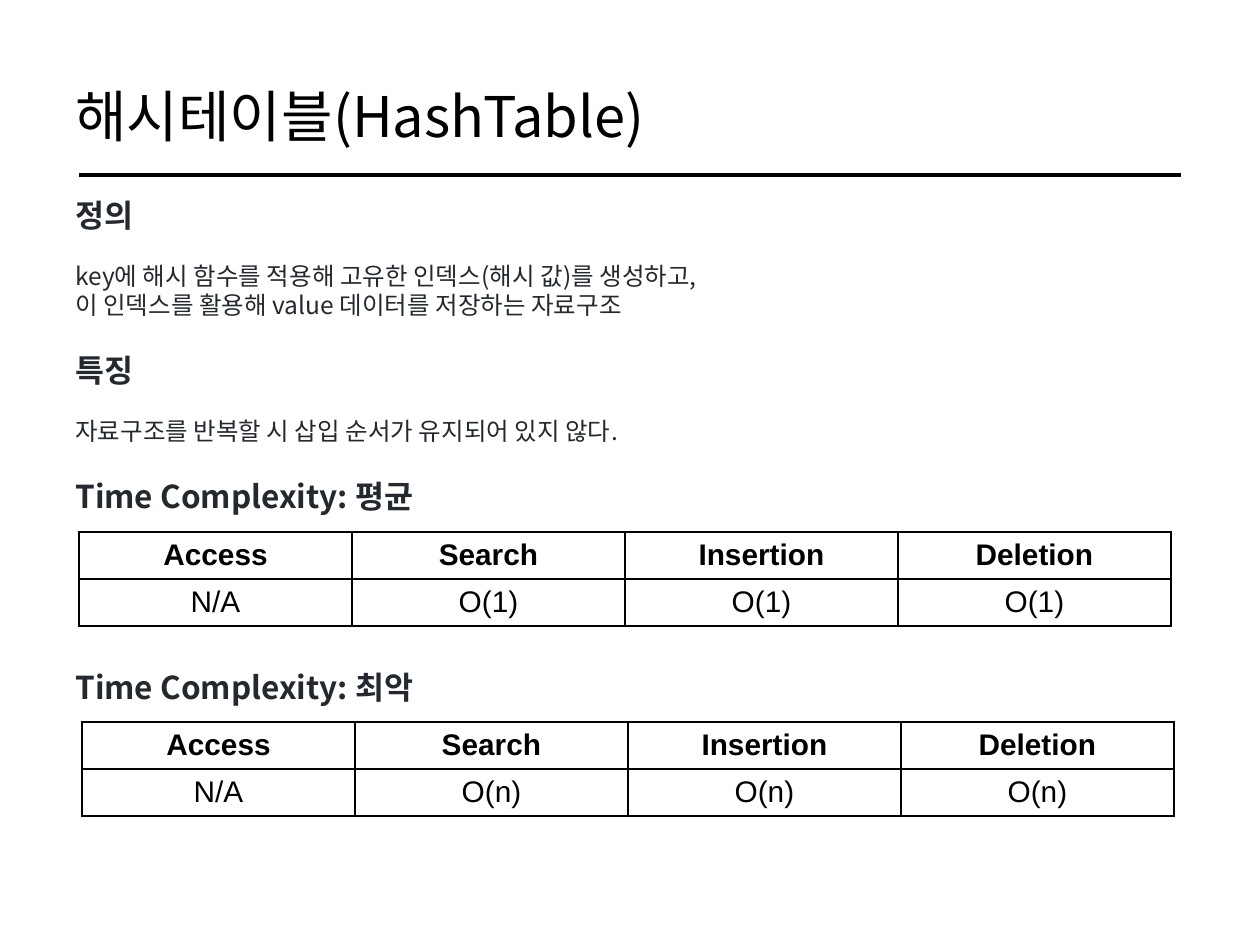
from lxml import etree
from pptx import Presentation
from pptx.dml.color import RGBColor
from pptx.enum.shapes import MSO_CONNECTOR
from pptx.enum.text import MSO_ANCHOR, PP_ALIGN
from pptx.oxml.ns import qn
from pptx.util import Emu, Pt

STRAIGHT = MSO_CONNECTOR.STRAIGHT
MIDDLE = MSO_ANCHOR.MIDDLE
TOP = MSO_ANCHOR.TOP
CENTER = PP_ALIGN.CENTER
LEFT = PP_ALIGN.LEFT

PX_PER_INCH = 126
KOREAN_FONT = "Noto Sans CJK KR"
TABLE_FONT = "Arial"
BLACK = "000000"
WHITE = "FFFFFF"
INK = "24292F"
OPERATIONS = ["Access", "Search", "Insertion", "Deletion"]


def px(length):
    """Turn pixels into EMU."""
    return Emu(round(length * 914400 / PX_PER_INCH))


def color(value):
    """Turn a hex string into a colour."""
    return RGBColor.from_string(value)


def write(para, text, size, font=KOREAN_FONT, ink=BLACK, bold=False,
          align=LEFT, before=0, line=None):
    """Fill a paragraph with formatted text; a newline is a line break."""
    para.alignment = align
    para.space_before = Pt(before)
    if line:
        para.line_spacing = Pt(line)
    for index, part in enumerate(text.split("\n")):
        if index:
            para.add_line_break()
        span = para.add_run()
        span.text = part
        span.font.name = font
        span.font.size = Pt(size)
        span.font.bold = bold
        span.font.color.rgb = color(ink)
        etree.SubElement(span.font._element, qn("a:ea"), typeface=font)


def add_box(page, left, top, width, height, anchor=TOP):
    """Add a wrapping text box and return its text frame."""
    frame = page.shapes.add_textbox(px(left), px(top), px(width), px(height)).text_frame
    frame.word_wrap = True
    frame.vertical_anchor = anchor
    frame.margin_top = frame.margin_bottom = 0
    return frame


def add_rule(page, left, right, y, width):
    """Add a horizontal line."""
    rule = page.shapes.add_connector(STRAIGHT, px(left), px(y), px(right), px(y))
    rule.line.color.rgb = color(BLACK)
    rule.line.width = Pt(width)
    etree.SubElement(rule._element.spPr, qn("a:effectLst"))


def add_borders(cell, width=1):
    """Draw all four borders of a table cell."""
    properties = cell._tc.get_or_add_tcPr()
    for side in ("lnL", "lnR", "lnT", "lnB"):
        border = etree.SubElement(properties, qn(f"a:{side}"), w=str(Pt(width)))
        fill = etree.SubElement(border, qn("a:solidFill"))
        etree.SubElement(fill, qn("a:srgbClr"), val=BLACK)


def add_complexity_table(page, left, top, costs, column=273, row=47):
    """Add a table of operations over their costs."""
    rows = [OPERATIONS, costs]
    table = page.shapes.add_table(len(rows), len(costs), px(left), px(top),
                                  px(column * len(costs)), px(row * len(rows))).table
    table.first_row = table.horz_banding = False
    for band in table.columns:
        band.width = px(column)
    for y, texts in enumerate(rows):
        table.rows[y].height = px(row)
        for x, text in enumerate(texts):
            cell = table.cell(y, x)
            add_borders(cell)
            cell.fill.solid()
            cell.fill.fore_color.rgb = color(WHITE)
            cell.vertical_anchor = MIDDLE
            cell.margin_left = cell.margin_right = px(11)
            cell.margin_top = cell.margin_bottom = px(5)
            write(cell.text_frame.paragraphs[0], text, 17, font=TABLE_FONT,
                  bold=y == 0, align=CENTER)


def add_body(page):
    """Add the headings and explanations in one text box."""
    heading = {"size": 18, "line": 21, "bold": True, "ink": INK}
    detail = {"size": 14, "line": 16.5, "before": 16, "ink": INK}
    content = [
        ("정의", heading),
        ("key에 해시 함수를 적용해 고유한 인덱스(해시 값)를 생성하고, \n"
         "이 인덱스를 활용해 value 데이터를 저장하는 자료구조", detail),
        ("특징", heading | {"before": 18.5}),
        ("자료구조를 반복할 시 삽입 순서가 유지되어 있지 않다.", detail),
        ("Time Complexity: 평균", heading | {"before": 18.5}),
        ("Time Complexity: 최악", heading | {"before": 88}),
    ]
    frame = add_box(page, 63, 197, 1106, 515)
    for index, (text, style) in enumerate(content):
        para = frame.add_paragraph() if index else frame.paragraphs[0]
        write(para, text, **style)


def main():
    """Build the hash table slide."""
    deck = Presentation()
    deck.slide_width, deck.slide_height = px(1260), px(945)
    page = deck.slides.add_slide(deck.slide_layouts[6])
    title = add_box(page, 63, 26, 1134, 179, anchor=MIDDLE)
    write(title.paragraphs[0], "해시테이블(HashTable)", 32)
    add_rule(page, 79, 1181, 175, 2)
    add_body(page)
    add_complexity_table(page, 79, 532, ["N/A"] + ["O(1)"] * 3)
    add_complexity_table(page, 82, 722, ["N/A"] + ["O(n)"] * 3)
    deck.save("out.pptx")


if __name__ == "__main__":
    main()
